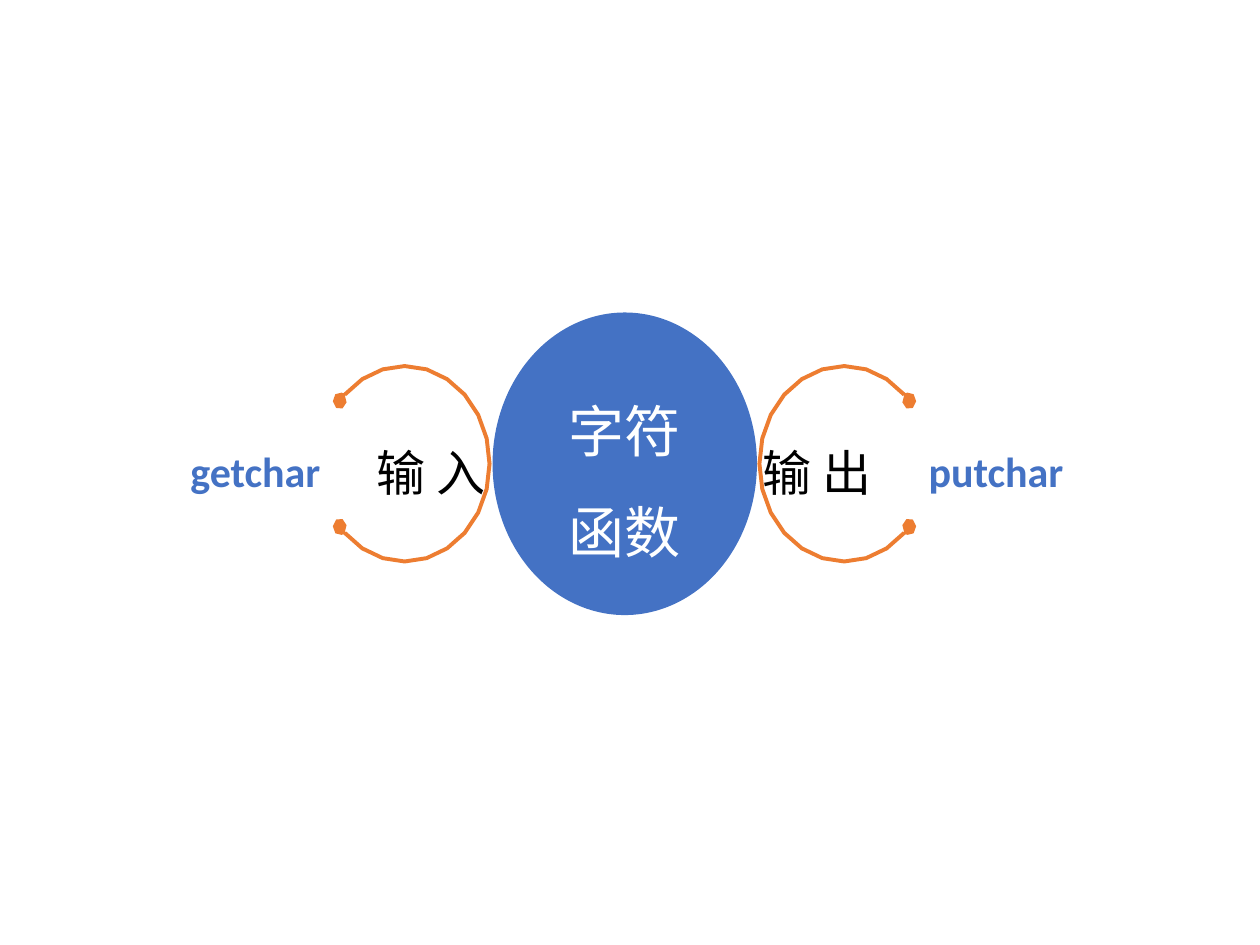
from math import cos, radians, sin

from lxml import etree
from pptx import Presentation
from pptx.dml.color import RGBColor
from pptx.enum import shapes, text
from pptx.oxml.ns import qn
from pptx.util import Cm, Pt

BLUE = RGBColor(0x44, 0x72, 0xC4)
ORANGE = RGBColor(0xED, 0x7D, 0x31)
WHITE = RGBColor(0xFE, 0xFF, 0xFF)
BLACK = RGBColor(0, 0, 0)
MID = text.MSO_ANCHOR.MIDDLE
ALIGN = text.PP_ALIGN


def write(sp, content, size, color, bold=False, align=ALIGN.LEFT,
          spacing=1.0, anchor=text.MSO_ANCHOR.TOP):
    tf = sp.text_frame
    tf.word_wrap = True
    tf.vertical_anchor = anchor
    tf.text = content
    for p in tf.paragraphs:
        p.alignment, p.line_spacing = align, spacing
        for r in p.runs:
            r.font.name, r.font.size = "Calibri", Pt(size)
            r.font.bold, r.font.color.rgb = bold, color


def arc(cx, cy, rx, ry, start, stop, step):
    """Points on an ellipse from one angle to another, in degrees."""
    return [(cx + rx * cos(radians(a)), cy + ry * sin(radians(a)))
            for a in range(start, stop + step, step)]


prs = Presentation()
prs.slide_width, prs.slide_height = Cm(25.4), Cm(19.05)
s = prs.slides.add_slide(prs.slide_layouts[6])

# Open rings ending in dots, mirrored about the central ellipse
ring = (arc(0, 0, 1.75, 2.01, 45, 315, 15)
        + arc(1.31, -1.27, 0.14, 0.17, 254, 584, 55)
        + arc(0, 0, 1.67, 1.93, 315, 45, -15)
        + arc(1.31, 1.27, 0.14, 0.17, 136, 466, 55))
for cx, side in ((17.02, 1), (8.16, -1)):
    pts = [(Cm(cx + side * x), Cm(9.35 + y)) for x, y in ring]
    fb = s.shapes.build_freeform(*pts[0])
    fb.add_line_segments(pts[1:])
    sp = fb.convert_to_shape()
    sp.shadow.inherit = False
    sp.fill.solid()
    sp.fill.fore_color.rgb = ORANGE
    sp.line.fill.background()

# Central ellipse
sp = s.shapes.add_shape(shapes.MSO_SHAPE.OVAL, Cm(9.93), Cm(6.3), Cm(5.33), Cm(6.1))
sp.shadow.inherit = False
sp.fill.solid()
sp.fill.fore_color.rgb = BLUE
sp.line.fill.background()
sp.text_frame.margin_top = sp.text_frame.margin_bottom = 0
write(sp, "字符\n函数", 32, WHITE, align=ALIGN.CENTER, spacing=1.5, anchor=MID)

# Function names
for name, left, align in (("putchar", 18.47, ALIGN.LEFT), ("getchar", 0.41, ALIGN.RIGHT)):
    sp = s.shapes.add_textbox(Cm(left), Cm(8.23), Cm(6.3), Cm(2))
    write(sp, name, 24, BLUE, bold=True, align=align, spacing=1.5, anchor=MID)

# Input and output labels, set apart by a tab stop
sp = s.shapes.add_textbox(Cm(7.34), Cm(8.79), Cm(11.15), Cm(1.45))
write(sp, "输 入\t输 出", 28, BLACK)
pPr = sp.text_frame.paragraphs[0]._p.get_or_add_pPr()
tabs = etree.SubElement(pPr, qn("a:tabLst"))
etree.SubElement(tabs, qn("a:tab"), pos=str(Cm(7.79)), algn="l")

prs.save("out.pptx")
